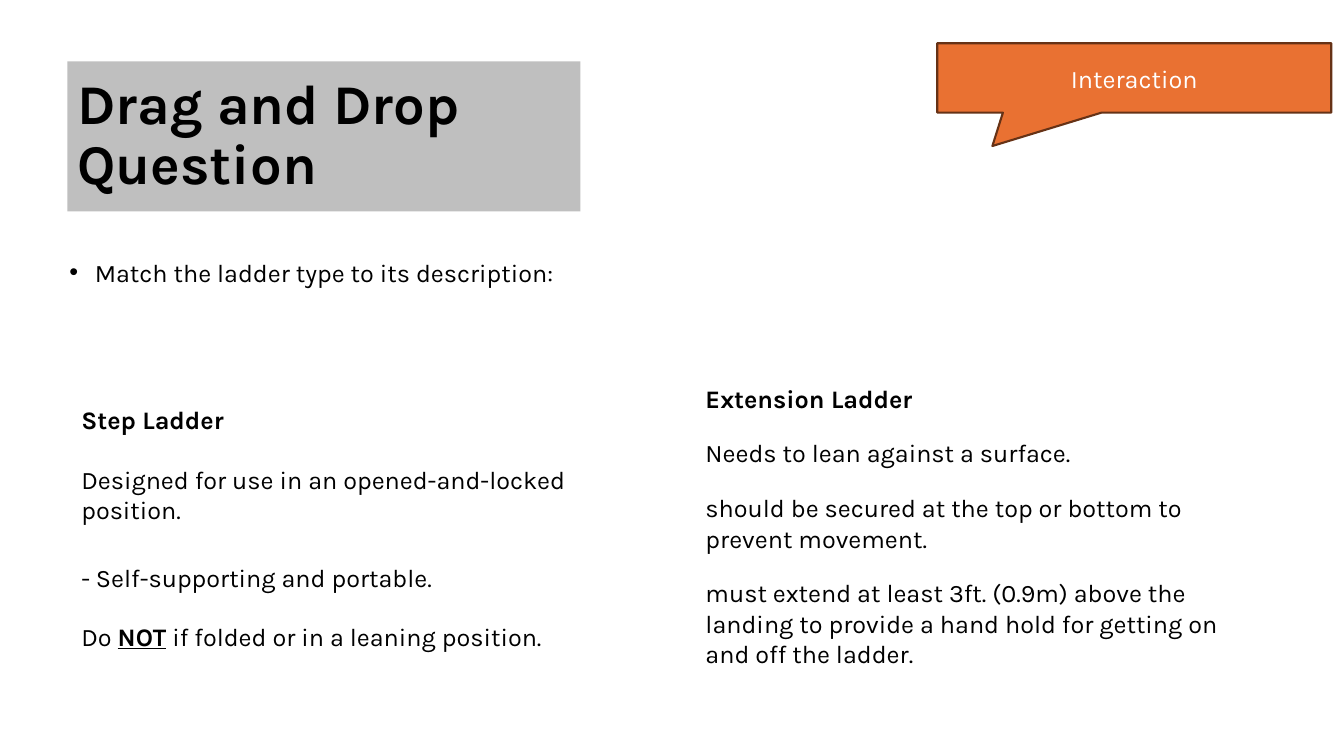
from dataclasses import dataclass

from lxml.etree import SubElement
from pptx import Presentation
from pptx.dml.color import RGBColor as Color
from pptx.enum.shapes import MSO_SHAPE as Shape
from pptx.enum.text import MSO_ANCHOR as Anchor, PP_ALIGN as Align
from pptx.oxml.ns import qn
from pptx.util import Cm, Pt


@dataclass(frozen=True)
class Theme:
    font: str = "Karla"
    ink: str = "000000"
    light: str = "FFFFFF"
    banner: str = "BFBFBF"
    accent: str = "E97132"
    outline: str = "663216"
    title_size: int = 40
    body_size: int = 18


class LadderPage:
    def __init__(self, page, theme):
        self.page = page
        self.theme = theme

    def style(self, span, size, color, bold=False):
        span.font.name = self.theme.font
        span.font.size = Pt(size)
        span.font.bold = bold
        span.font.color.rgb = Color.from_string(color)

    def shape(self, kind, place, fill):
        box = self.page.shapes.add_shape(kind, *map(Cm, place))
        box.shadow.inherit = False
        box.fill.solid()
        box.fill.fore_color.rgb = Color.from_string(fill)
        box.text_frame.word_wrap = True
        box.text_frame.vertical_anchor = Anchor.MIDDLE
        return box

    def title(self, place, text):
        box = self.shape(Shape.RECTANGLE, place, self.theme.banner)
        box.line.fill.background()
        box.text_frame.text = text
        para = box.text_frame.paragraphs[0]
        para.alignment = Align.LEFT
        para.line_spacing = 0.9
        self.style(para.runs[0], self.theme.title_size, self.theme.ink, True)

    def callout(self, place, tip, text):
        box = self.shape(Shape.RECTANGULAR_CALLOUT, place, self.theme.accent)
        box.adjustments[0], box.adjustments[1] = tip
        box.line.color.rgb = Color.from_string(self.theme.outline)
        box.line.width = Pt(1.5)
        box.text_frame.text = text
        para = box.text_frame.paragraphs[0]
        para.alignment = Align.CENTER
        self.style(para.runs[0], self.theme.body_size, self.theme.light)

    def text(self, place, text, bold=False, spacing=1.0):
        box = self.page.shapes.add_textbox(*map(Cm, place))
        box.text_frame.word_wrap = True
        box.text_frame.text = text
        para = box.text_frame.paragraphs[0]
        para.line_spacing = spacing
        self.style(para.runs[0], self.theme.body_size, self.theme.ink, bold)
        return para

    def bullet(self, place, text):
        para = self.text(place, text, spacing=1.2)
        settings = para._p.get_or_add_pPr()
        settings.set("marL", str(Cm(0.64)))
        settings.set("indent", str(-Cm(0.64)))
        SubElement(settings, qn("a:buFont"), typeface="Arial")
        SubElement(settings, qn("a:buChar"), char="•")

    def warning(self, place, before, stress, after):
        para = self.text(place, before)
        for words, stressed in ((stress, True), (after, False)):
            span = para.add_run()
            span.text = words
            self.style(span, self.theme.body_size, self.theme.ink, stressed)
            span.font.underline = stressed


def main():
    deck = Presentation()
    deck.slide_width, deck.slide_height = Cm(33.87), Cm(19.05)
    ladders = LadderPage(deck.slides.add_slide(deck.slide_layouts[6]), Theme())
    step_left, extension_left = 1.8, 17.53

    ladders.title((1.7, 1.55, 12.93, 3.78), "Drag and Drop Question")
    ladders.bullet((1.5, 6.2, 12.83, 1.37), "Match the ladder type to its description:")

    ladders.text((step_left, 10.06, 13.54, 1.02), "Step Ladder", bold=True)
    ladders.text((step_left, 11.58, 13.54, 1.8),
                 "Designed for use in an opened-and-locked position.")
    ladders.text((step_left, 13.89, 14.48, 1.12),
                 "- Self-supporting and portable.", spacing=1.2)
    ladders.warning((step_left, 15.54, 15.14, 1.02),
                    "Do ", "NOT", " if folded or in a leaning position.")

    ladders.text((extension_left, 9.53, 11.91, 1.02), "Extension Ladder", bold=True)
    extension_facts = (
        (10.9, 12.73, 1.02, "Needs to lean against a surface."),
        (12.29, 13.31, 1.8,
         "should be secured at the top or bottom to prevent movement."),
        (14.43, 13.59, 2.57,
         "must extend at least 3ft. (0.9m) above the landing to provide "
         "a hand hold for getting on and off the ladder."),
    )
    for top, width, height, fact in extension_facts:
        ladders.text((extension_left, top, width, height), fact)

    ladders.callout((23.62, 1.09, 9.93, 1.75), (-0.36, 0.98), "Interaction")
    deck.save("out.pptx")


if __name__ == "__main__":
    main()
